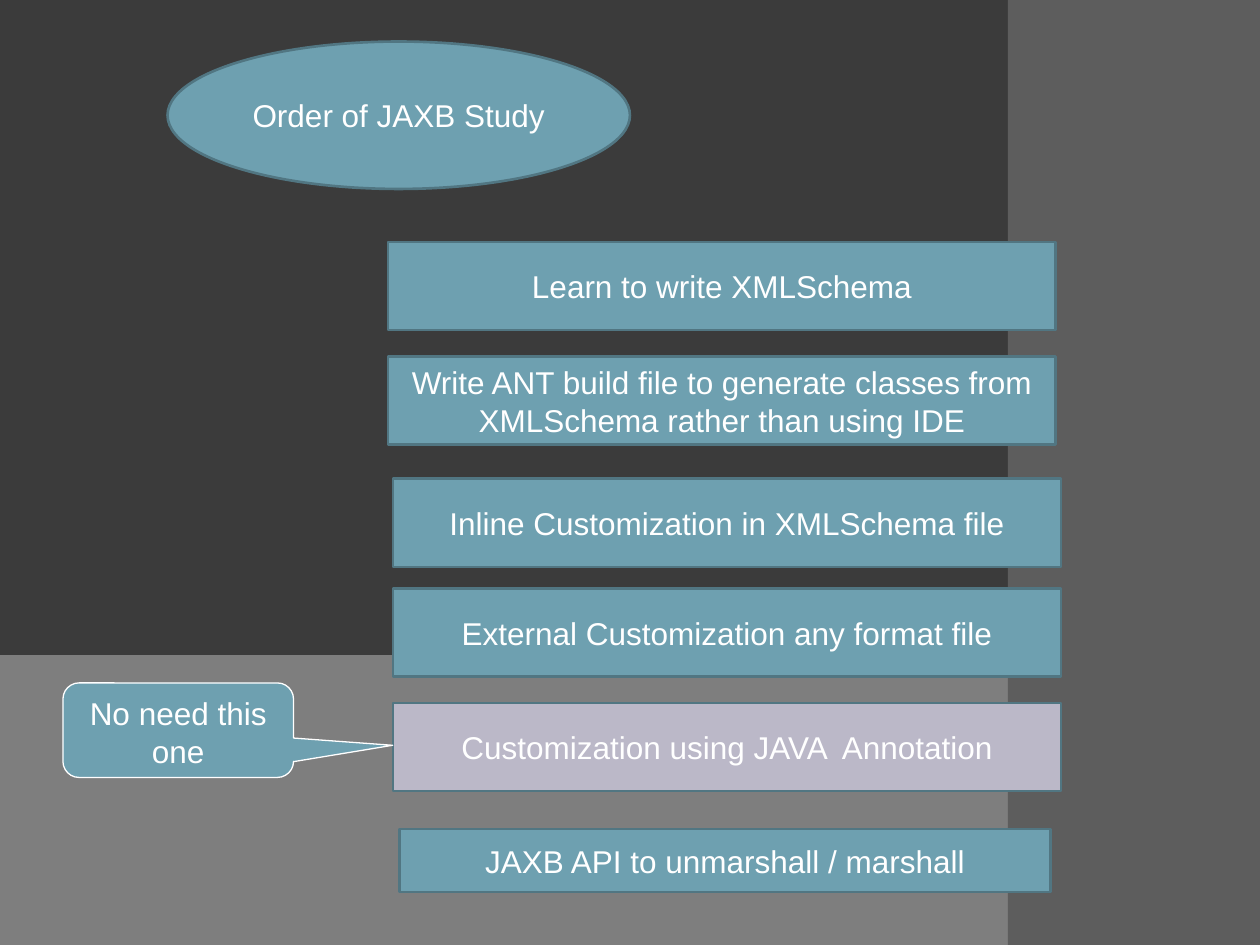
import pptx
import pptx.util
import pptx.dml.color
import pptx.enum.shapes
import pptx.enum.text
from dataclasses import dataclass

Inches = pptx.util.Inches
Pt = pptx.util.Pt
RGBColor = pptx.dml.color.RGBColor
Shape = pptx.enum.shapes.MSO_SHAPE
Anchor = pptx.enum.text.MSO_ANCHOR


@dataclass(frozen=True)
class Theme:
    background: str = "3B3B3B"
    floor: str = "7E7E7E"
    side: str = "5D5D5D"
    box: str = "6EA0B0"
    skipped: str = "BBB8C8"
    outline: str = "517682"
    text: str = "FFFFFF"
    font: str = "Arial"
    size: int = 18


theme = Theme()


def add_block(kind, left, top, width, height, fill, outline=None, weight=1.5):
    shape = slide.shapes.add_shape(
        kind, Inches(left), Inches(top), Inches(width), Inches(height))
    shape.shadow.inherit = False
    shape.fill.solid()
    shape.fill.fore_color.rgb = RGBColor.from_string(fill)
    if outline:
        shape.line.color.rgb = RGBColor.from_string(outline)
        shape.line.width = Pt(weight)
    else:
        shape.line.fill.background()
    return shape


def write_label(shape, text, anchor=Anchor.MIDDLE):
    frame = shape.text_frame
    frame.word_wrap = True
    frame.vertical_anchor = anchor
    paragraph = frame.paragraphs[0]
    paragraph.alignment = pptx.enum.text.PP_ALIGN.CENTER
    run = paragraph.add_run()
    run.text = text
    run.font.name = theme.font
    run.font.size = Pt(theme.size)
    run.font.color.rgb = RGBColor.from_string(theme.text)


presentation = pptx.Presentation()
presentation.slide_width = Inches(10)
presentation.slide_height = Inches(7.5)
slide = presentation.slides.add_slide(presentation.slide_layouts[6])

# Background with a lower band and a right-hand band
slide.background.fill.solid()
slide.background.fill.fore_color.rgb = RGBColor.from_string(theme.background)
add_block(Shape.RECTANGLE, 0, 5.2, 10, 2.3, theme.floor)
add_block(Shape.RECTANGLE, 8, 0, 2, 7.5, theme.side)

# Study steps: left, top, width, height, fill, text
steps = [
    (3.08, 1.92, 5.3, 0.7, theme.box, "Learn to write XMLSchema"),
    (3.08, 2.83, 5.3, 0.7, theme.box,
     "Write ANT build file to generate classes from XMLSchema rather than using IDE"),
    (3.12, 3.8, 5.3, 0.7, theme.box, "Inline Customization in XMLSchema file"),
    (3.12, 4.67, 5.3, 0.7, theme.box, "External Customization any format file"),
    (3.12, 5.58, 5.3, 0.7, theme.skipped, "Customization using JAVA  Annotation"),
    (3.17, 6.58, 5.17, 0.5, theme.box, "JAXB API to unmarshall / marshall"),
]
for left, top, width, height, fill, text in steps:
    step = add_block(Shape.RECTANGLE, left, top, width, height, fill, theme.outline)
    write_label(step, text)

# Title
title = add_block(Shape.OVAL, 1.33, 0.33, 3.67, 1.17, theme.box, theme.outline)
write_label(title, "Order of JAXB Study")

# Callout pointing at the skipped step
callout = add_block(Shape.ROUNDED_RECTANGULAR_CALLOUT, 0.5, 5.42, 1.83, 0.75,
                    theme.box, theme.text, 0.75)
for index, value in enumerate((0.93, 0.16, 0.17)):
    callout.adjustments[index] = value
write_label(callout, "No need this one", Anchor.TOP)

presentation.save("out.pptx")
